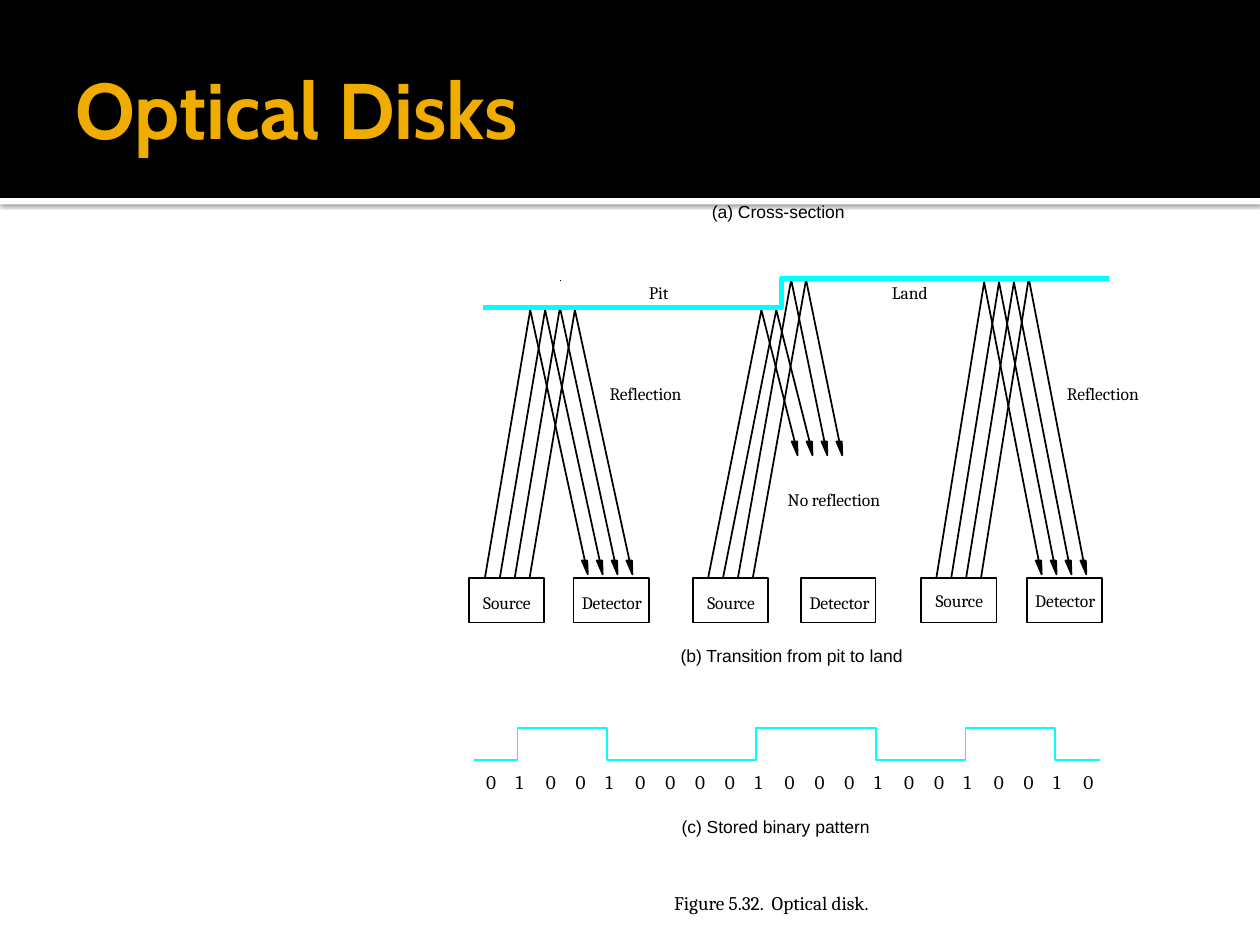
from dataclasses import dataclass

from lxml.etree import SubElement
from pptx import Presentation
from pptx.dml.color import RGBColor
from pptx.enum.shapes import MSO_CONNECTOR, MSO_SHAPE
from pptx.enum.text import MSO_ANCHOR, MSO_AUTO_SIZE, PP_ALIGN
from pptx.oxml.ns import qn
from pptx.util import Cm, Pt

BLACK = RGBColor(0x00, 0x00, 0x00)
WHITE = RGBColor(0xFF, 0xFF, 0xFF)
CYAN = RGBColor(0x00, 0xFF, 0xFF)
AMBER = RGBColor(0xF0, 0xAD, 0x00)

# All lengths are in centimetres.
PAGE_WIDTH, PAGE_HEIGHT = 25.4, 19.05
PIT_Y, LAND_Y = 6.2, 5.61
RAY_STEP = 0.3
FOOT_Y = 11.63
UNIT_TOP, UNIT_HEIGHT = 11.66, 0.89
BITS = "010010000100010010010"
BIT_LEFT, BIT_STEP, BIT_TOP = 9.8, 0.602, 15.52
PULSE_LOW, PULSE_HIGH = 15.32, 14.68

Point = tuple[float, float]


@dataclass(frozen=True)
class Label:
    text: str
    left: float
    top: float
    width: float
    font: str = "Cambria"
    size: int = 10
    wrap: bool = False


@dataclass(frozen=True)
class Probe:
    """A source and a detector, with four rays between them."""
    foot: float
    apex: float
    head: float
    apex_heights: tuple[float, ...]
    head_top: float
    source: float
    detector: float
    detector_width: float
    label_top: float


PROBES = (
    Probe(9.78, 10.69, 11.79, (6.25, 6.25, 6.2, 6.25), 11.3,
          9.45, 11.56, 1.52, 11.94),
    Probe(14.28, 15.35, 16.02, (6.25, 6.25, 5.64, 5.64), 8.9,
          13.97, 16.15, 1.5, 11.94),
    Probe(18.88, 19.84, 20.94, (5.69, 5.69, 5.69, 5.61), 11.3,
          18.57, 20.7, 1.52, 11.89),
)

LABELS = (
    Label("(a) Cross-section", 14.35, 4.06, 2.69, "Arial"),
    Label("No reflection", 15.88, 9.86, 1.98),
    Label("Reflection", 12.29, 7.72, 1.55),
    Label("Reflection", 21.51, 7.72, 1.55),
    Label("Pit", 13.08, 5.69, 0.41),
    Label("Land", 17.98, 5.69, 0.79),
    Label("(b) Transition from pit to land", 13.72, 13, 4.5, "Arial"),
    Label("(c) Stored binary pattern", 13.74, 16.46, 4.83, "Arial", wrap=True),
    Label("Figure 5.32.  Optical disk.", 13.59, 17.96, 4.39, size=11),
)


def add_rect(page, left: float, top: float, width: float, height: float,
             fill: RGBColor | None = None, line: RGBColor | None = None):
    rect = page.shapes.add_shape(MSO_SHAPE.RECTANGLE, Cm(left), Cm(top),
                                 Cm(width), Cm(height))
    rect.shadow.inherit = False
    if fill is None:
        rect.fill.background()
    else:
        rect.fill.solid()
        rect.fill.fore_color.rgb = fill
    if line is None:
        rect.line.fill.background()
    else:
        rect.line.color.rgb = line
        rect.line.width = Pt(1)
    return rect


def add_path(page, points: list[Point], color: RGBColor, weight: float = 1,
             filled: bool = False) -> None:
    """Draw an open line, or a closed shape when filled."""
    start, *rest = [(Cm(x), Cm(y)) for x, y in points]
    builder = page.shapes.build_freeform(*start)
    builder.add_line_segments(rest, close=filled)
    outline = builder.convert_to_shape()
    outline.shadow.inherit = False
    if filled:
        outline.fill.solid()
        outline.fill.fore_color.rgb = color
    else:
        outline.fill.background()
    outline.line.color.rgb = color
    outline.line.width = Pt(weight)


def format_span(para, text: str, font: str, size: int, color: RGBColor,
                bold: bool = False) -> None:
    span = para.add_run()
    span.text = text
    span.font.name = font
    span.font.size = Pt(size)
    span.font.bold = bold
    span.font.color.rgb = color


def add_label(page, label: Label) -> None:
    box = page.shapes.add_textbox(Cm(label.left), Cm(label.top),
                                  Cm(label.width), Cm(0.43))
    frame = box.text_frame
    frame.margin_left = frame.margin_right = 0
    frame.margin_top = frame.margin_bottom = 0
    frame.word_wrap = label.wrap
    frame.auto_size = MSO_AUTO_SIZE.SHAPE_TO_FIT_TEXT
    format_span(frame.paragraphs[0], label.text, label.font, label.size, BLACK)


def add_header(page) -> None:
    strip = add_rect(page, 0, 3.99, PAGE_WIDTH, 0.13, WHITE)
    effects = strip._element.spPr.find(qn("a:effectLst"))
    shadow = SubElement(effects, qn("a:outerShdw"), blurRad="31750",
                        dist="10160", dir="5400000", rotWithShape="0")
    tint = SubElement(shadow, qn("a:srgbClr"), val=str(BLACK))
    SubElement(tint, qn("a:alpha"), val="60000")
    add_rect(page, 0, 0, PAGE_WIDTH, 3.99, BLACK)

    title = page.shapes.title
    page.shapes._spTree.append(title._element)  # in front of the band
    title.left, title.top = Cm(1.27), Cm(0.43)
    title.width, title.height = Cm(22.86), Cm(3.48)
    frame = title.text_frame
    frame.auto_size = MSO_AUTO_SIZE.NONE
    frame.vertical_anchor = MSO_ANCHOR.MIDDLE
    frame.margin_left = Cm(0.25)
    frame.margin_right = frame.margin_top = frame.margin_bottom = Cm(0.13)
    para = frame.paragraphs[0]
    para.alignment = PP_ALIGN.LEFT
    format_span(para, "Optical Disks", "Cabin", 45, AMBER, bold=True)


def add_probe(page, probe: Probe) -> None:
    for index, apex_y in enumerate(probe.apex_heights):
        shift = index * RAY_STEP
        head, top = probe.head + shift, probe.head_top
        add_path(page, [(head - 0.06, top), (head + 0.06, top + 0.28),
                        (head + 0.05, top)], BLACK, filled=True)
        add_path(page, [(head, top), (probe.apex + shift, apex_y),
                        (probe.foot + shift, FOOT_Y)], BLACK)
    add_rect(page, probe.source, UNIT_TOP, 1.52, UNIT_HEIGHT, line=BLACK)
    add_rect(page, probe.detector, UNIT_TOP, probe.detector_width,
             UNIT_HEIGHT, line=BLACK)
    add_label(page, Label("Source", probe.source + 0.29, probe.label_top, 1.12))
    add_label(page, Label("Detector", probe.detector + 0.17,
                          probe.label_top, 1.32))


def add_bit_pattern(page) -> None:
    """Write the bits under a signal that changes level at every 1."""
    level = PULSE_LOW
    signal = [(9.55, level)]
    for index, bit in enumerate(BITS):
        left = BIT_LEFT + index * BIT_STEP
        add_label(page, Label(bit, left, BIT_TOP, 0.23, size=11))
        if bit == "1":
            edge = left + 0.03
            signal.append((edge, level))
            level = PULSE_HIGH if level == PULSE_LOW else PULSE_LOW
            signal.append((edge, level))
    signal.append((22.17, level))
    add_path(page, signal, CYAN)


def add_dot(page) -> None:
    dot = page.shapes.add_connector(MSO_CONNECTOR.STRAIGHT, Cm(11.3), Cm(5.64),
                                    Cm(11.3), Cm(5.66))
    dot.line.color.rgb = BLACK
    dot.line.width = Pt(1)
    SubElement(dot._element.spPr, qn("a:effectLst"))


def main() -> None:
    deck = Presentation()
    deck.slide_width, deck.slide_height = Cm(PAGE_WIDTH), Cm(PAGE_HEIGHT)
    page = deck.slides.add_slide(deck.slide_layouts[5])
    add_header(page)
    add_dot(page)
    for probe in PROBES:
        add_probe(page, probe)
    add_path(page, [(9.73, PIT_Y), (15.75, PIT_Y), (15.75, LAND_Y),
                    (22.36, LAND_Y)], CYAN, 3.13)
    add_bit_pattern(page)
    for label in LABELS:
        add_label(page, label)
    deck.save("out.pptx")


if __name__ == "__main__":
    main()
